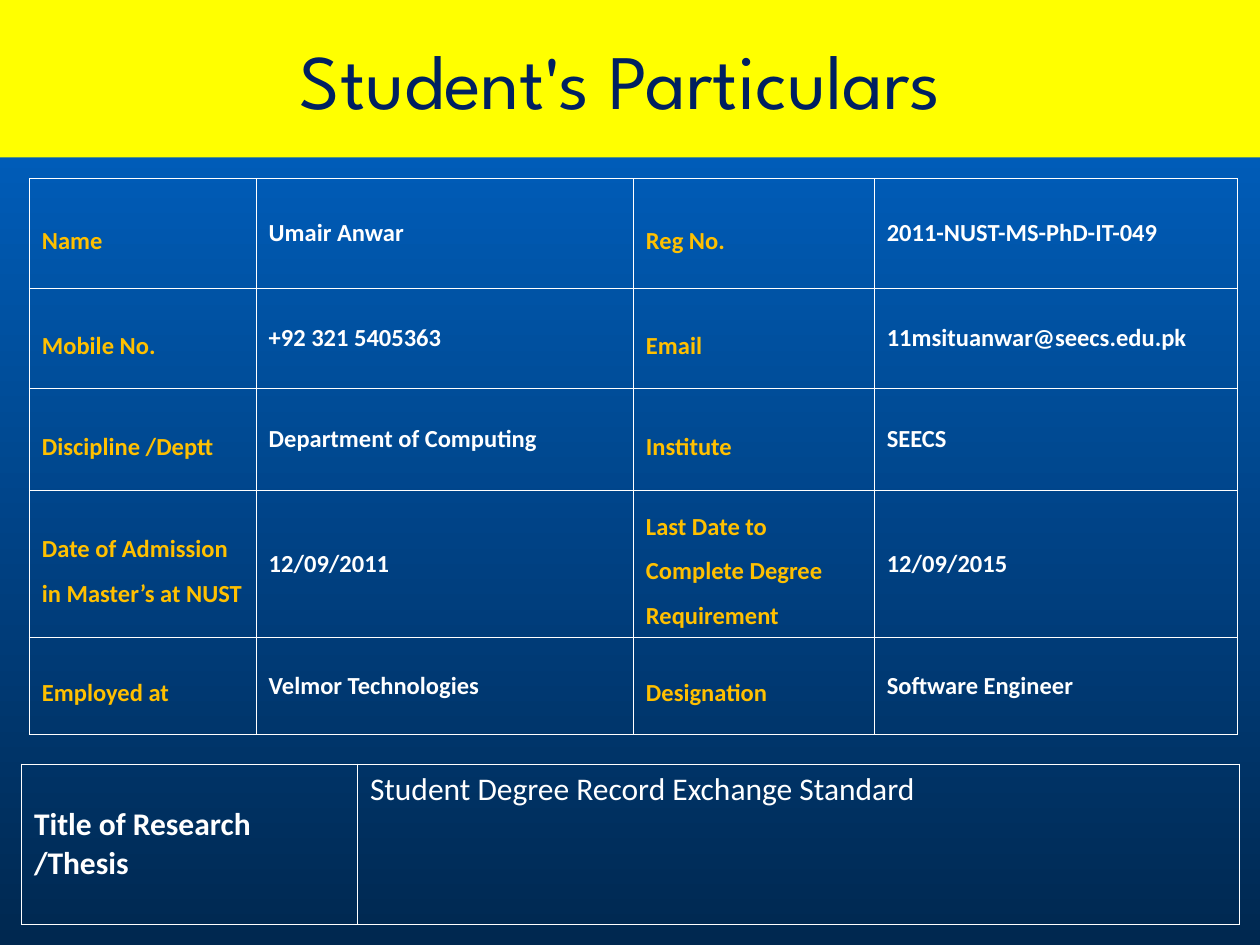
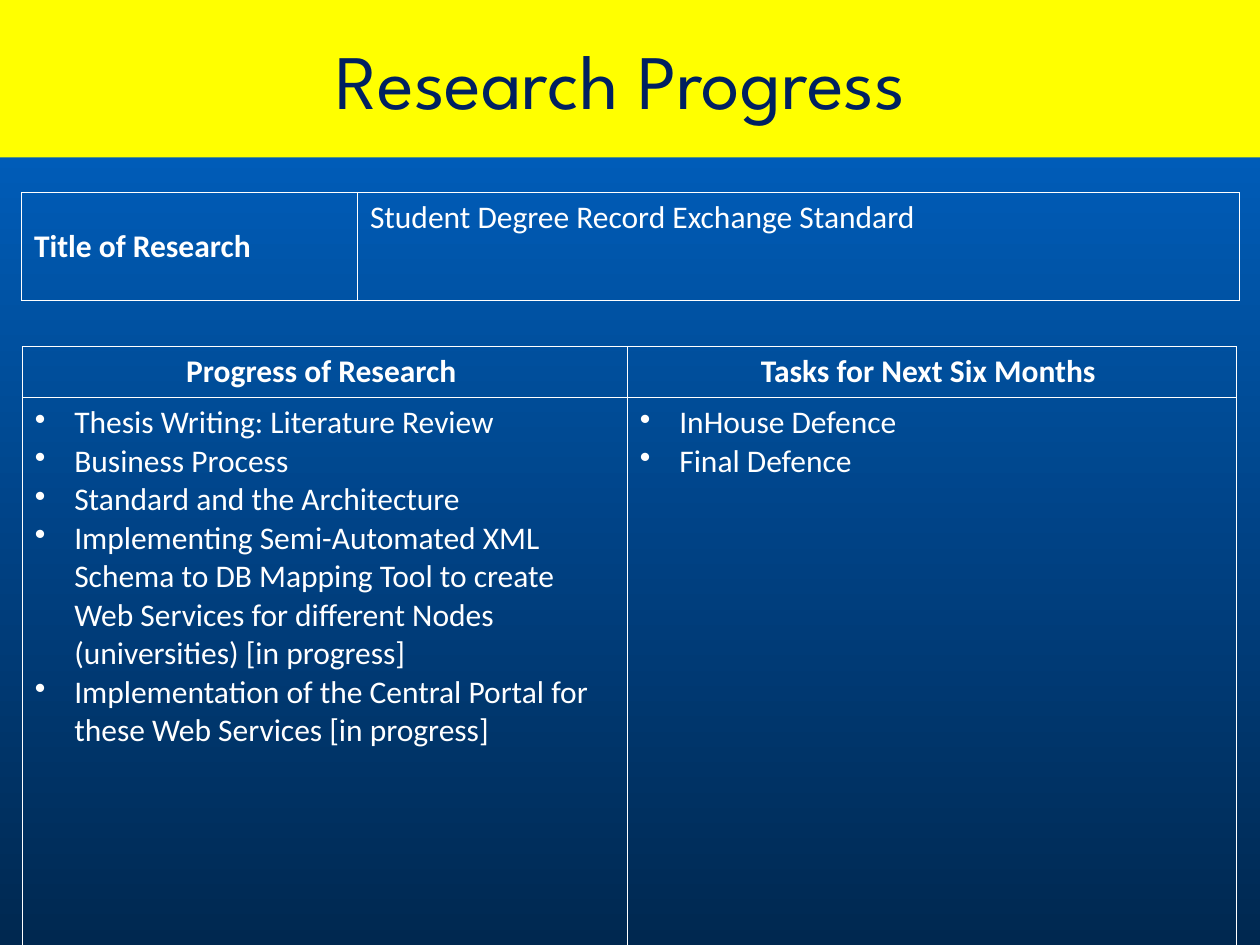
from lxml.etree import SubElement
from pptx import Presentation
from pptx.dml.color import RGBColor
from pptx.enum.shapes import MSO_SHAPE
from pptx.enum.text import MSO_ANCHOR, PP_ALIGN
from pptx.oxml import parse_xml
from pptx.oxml.ns import nsdecls, qn
from pptx.util import Pt

COLORS = {
    "band": "FFFF00",
    "title": "002060",
    "label": "FFC000",
    "text": "FFFFFF",
    "line": "FFFFFF",
    "bg_top": "0066CC",
    "bg_bottom": "002850",
}
TITLE_FONT = "League Spartan"
BODY_FONT = "Calibri"
WIDTH, HEIGHT, BAND = 720, 540, 90
INDENT = 22.5

PARTICULARS = [
    ("Name", "Umair Anwar", "Reg No.", "2011-NUST-MS-PhD-IT-049"),
    ("Mobile No.", "+92 321 5405363", "Email", "11msituanwar@seecs.edu.pk"),
    ("Discipline /Deptt", "Department of Computing", "Institute", "SEECS"),
    ("Date of Admission in Master’s at NUST", "12/09/2011",
     "Last Date to Complete Degree Requirement", "12/09/2015"),
    ("Employed at", "Velmor Technologies", "Designation", "Software Engineer"),
]
THESIS = "Student Degree Record Exchange Standard"
PROGRESS = {
    "Progress of Research ": [
        "Thesis Writing: Literature Review",
        "Business Process",
        "Standard and the Architecture",
        "Implementing Semi-Automated XML Schema to DB Mapping Tool to create "
        "Web Services for different Nodes (universities) [in progress]",
        "Implementation of the Central Portal for these Web Services [in progress]",
    ],
    "Tasks for Next Six Months ": ["InHouse Defence", "Final Defence"],
}


def rgb(name):
    return RGBColor.from_string(COLORS[name])


def add_bullet(p):
    pPr = p._p.get_or_add_pPr()
    pPr.set("marL", str(Pt(INDENT)))
    pPr.set("indent", str(-Pt(INDENT)))
    clr = SubElement(pPr, qn("a:buClr"))
    SubElement(clr, qn("a:srgbClr"), val=COLORS["text"])
    SubElement(pPr, qn("a:buChar"), char="•")


def write(tf, text, size=18, font=BODY_FONT, color="text", bold=False,
          align=PP_ALIGN.LEFT, spacing=None, bullet=False):
    lines = [text] if isinstance(text, str) else text
    for i, line in enumerate(lines):
        p = tf.add_paragraph() if i else tf.paragraphs[0]
        if bullet:
            add_bullet(p)
        p.alignment = align
        if spacing:
            p.line_spacing = spacing
        r = p.add_run()
        r.text = line
        r.font.size = Pt(size)
        r.font.name = font
        r.font.bold = bold
        r.font.color.rgb = rgb(color)


def add_slide(prs, title):
    s = prs.slides.add_slide(prs.slide_layouts[6])
    fill = s.background.fill
    fill.gradient()
    fill.gradient_angle = 270
    for stop, name in zip(fill.gradient_stops, ("bg_top", "bg_bottom")):
        stop.color.rgb = rgb(name)
    sp = s.shapes.add_shape(MSO_SHAPE.RECTANGLE, 0, 0, Pt(WIDTH), Pt(BAND))
    sp.shadow.inherit = False
    sp.fill.solid()
    sp.fill.fore_color.rgb = rgb("band")
    sp.line.fill.background()
    sp.text_frame.vertical_anchor = MSO_ANCHOR.MIDDLE
    write(sp.text_frame, title, size=44, font=TITLE_FONT, color="title",
          align=PP_ALIGN.CENTER)
    return s


def outline(cell):
    cell.fill.background()
    tcPr = cell._tc.get_or_add_tcPr()
    for i, side in enumerate("LRTB"):
        tcPr.insert(i, parse_xml(
            f'<a:ln{side} {nsdecls("a")} w="{Pt(0.45)}"><a:solidFill>'
            f'<a:srgbClr val="{COLORS["line"]}"/></a:solidFill></a:ln{side}>'))


def add_grid(s, left, top, cols, rows):
    table = s.shapes.add_table(len(rows), len(cols), Pt(left), Pt(top),
                               Pt(sum(cols)), Pt(sum(rows))).table
    table.first_row = False
    table.horz_banding = False
    for col, width in zip(table.columns, cols):
        col.width = Pt(width)
    for row, height in zip(table.rows, rows):
        row.height = Pt(height)
    for cell in table.iter_cells():
        outline(cell)
    return table


def fill_cell(cell, text, middle=True, **style):
    cell.vertical_anchor = MSO_ANCHOR.MIDDLE if middle else MSO_ANCHOR.TOP
    write(cell.text_frame, text, **style)


def add_thesis(s, label, top, height):
    table = add_grid(s, 12.25, top, (192, 504), (height,))
    fill_cell(table.cell(0, 0), label, bold=True)
    fill_cell(table.cell(0, 1), THESIS, middle=False)


def particulars_slide(prs):
    s = add_slide(prs, "Student's Particulars ")
    table = add_grid(s, 16.75, 102, (129.6, 215.6, 137.6, 207.4),
                     (62.9, 57.1, 58.3, 84, 55.5))
    for i, row in enumerate(PARTICULARS):
        for j, text in enumerate(row):
            style = {"color": "label", "spacing": 1.5} if j % 2 == 0 else {}
            fill_cell(table.cell(i, j), text, size=14, bold=True, **style)
    add_thesis(s, "Title of Research /Thesis", 436.6, 91.4)


def progress_slide(prs):
    s = add_slide(prs, "Research Progress ")
    add_thesis(s, "Title of Research", 110, 61.4)
    table = add_grid(s, 12.75, 198, (345.75, 348), (29.2, 439.2))
    for j, (heading, items) in enumerate(PROGRESS.items()):
        fill_cell(table.cell(0, j), heading, bold=True, align=PP_ALIGN.CENTER)
        fill_cell(table.cell(1, j), items, middle=False, bullet=True)


def main():
    prs = Presentation()
    prs.slide_width, prs.slide_height = Pt(WIDTH), Pt(HEIGHT)
    particulars_slide(prs)
    progress_slide(prs)
    prs.save("out.pptx")


if __name__ == "__main__":
    main()
